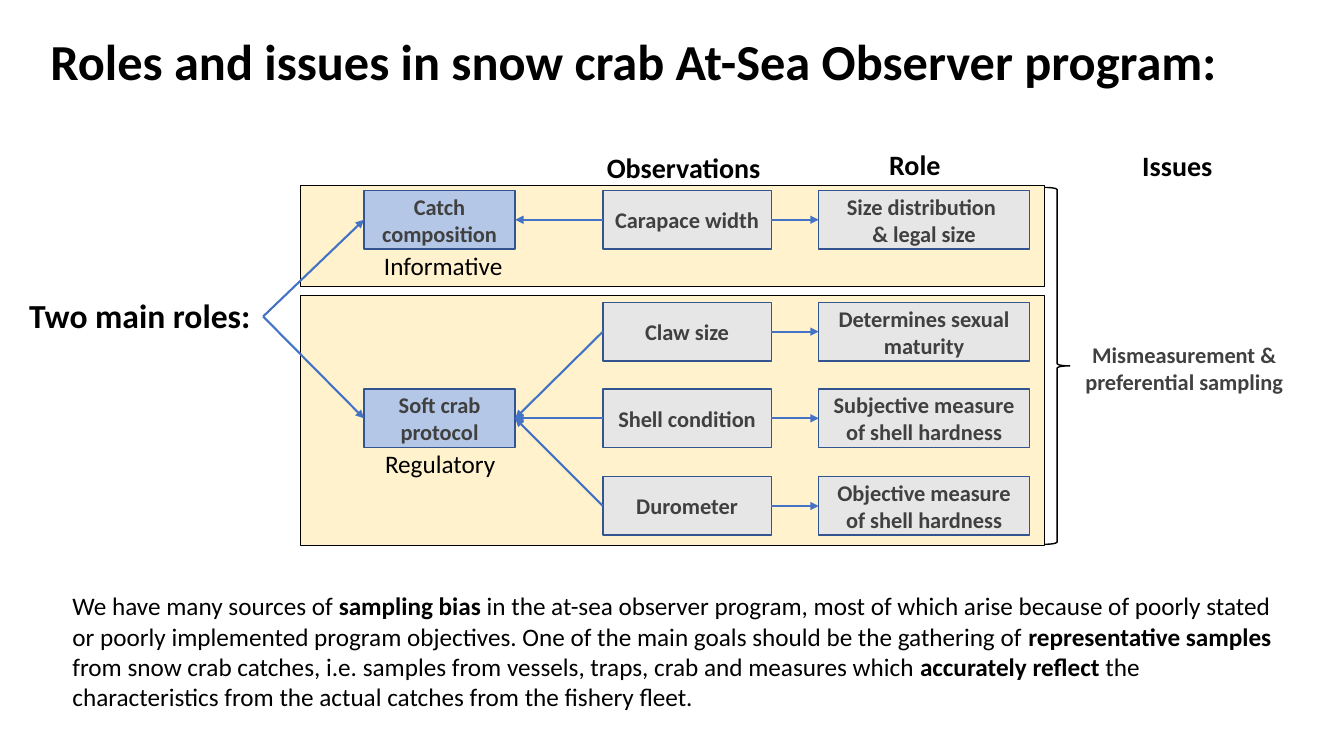
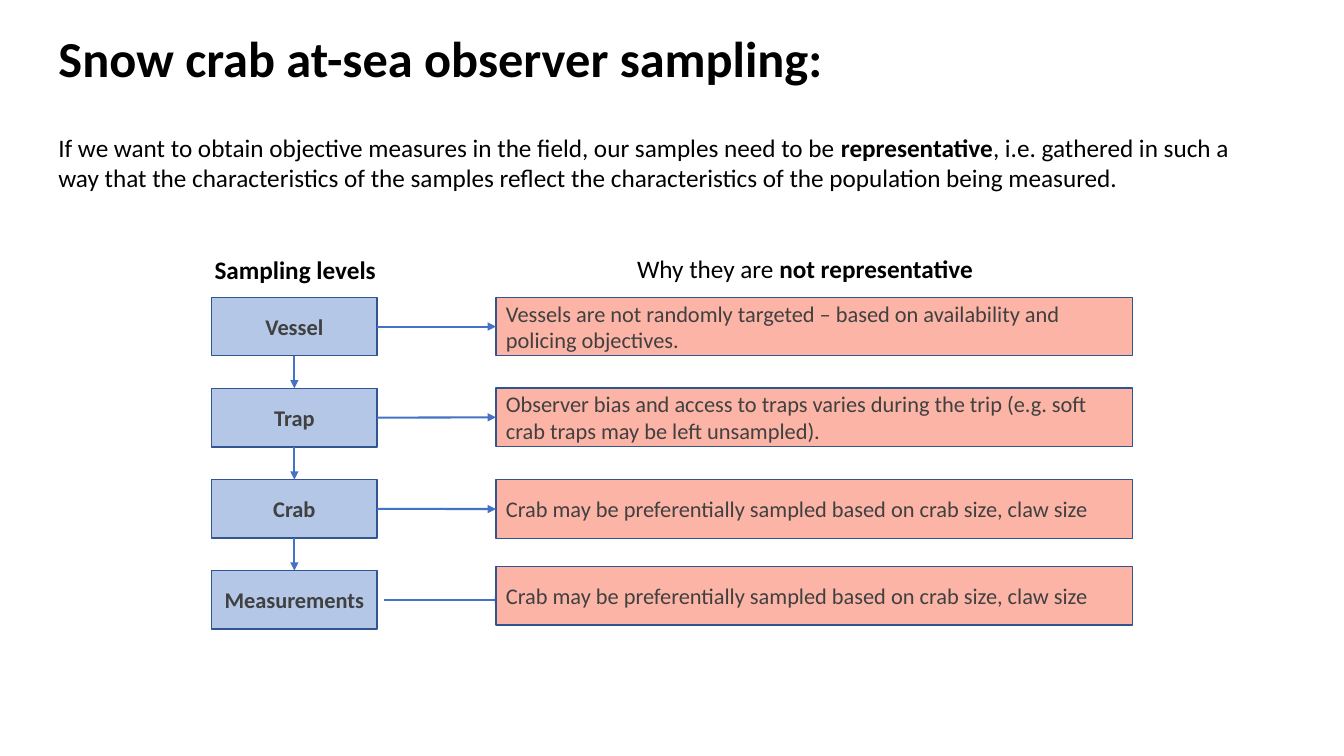
from dataclasses import dataclass
from itertools import pairwise

from lxml import etree
from pptx import Presentation
from pptx.dml.color import RGBColor
from pptx.enum.shapes import MSO_CONNECTOR, MSO_SHAPE
from pptx.enum.text import MSO_ANCHOR, MSO_AUTO_SIZE, PP_ALIGN
from pptx.oxml.ns import qn
from pptx.util import Inches, Pt

RECT = MSO_SHAPE.RECTANGLE
BRACE = MSO_SHAPE.RIGHT_BRACE
STRAIGHT = MSO_CONNECTOR.STRAIGHT
LEFT, CENTER = PP_ALIGN.LEFT, PP_ALIGN.CENTER
MIDDLE = MSO_ANCHOR.MIDDLE
FIT_SHAPE, NO_FIT = MSO_AUTO_SIZE.SHAPE_TO_FIT_TEXT, MSO_AUTO_SIZE.NONE
TITLE_ONLY = 5
SITE_TOP, SITE_LEFT, SITE_BOTTOM, SITE_RIGHT = range(4)


@dataclass(frozen=True)
class Theme:
    font: str = "Calibri"
    black: str = "000000"
    box_text: str = "404040"
    box_line: str = "325491"
    arrow: str = "4472C4"
    band: str = "FFF2CC"
    blue: str = "B4C7E7"
    grey: str = "E7E6E6"
    salmon: str = "FCB4A6"
    title_size: int = 36
    lead_size: int = 24
    heading_size: int = 20
    body_size: int = 18
    box_size: int = 16


THEME = Theme()
BOX_H = 0.58


def rgb(value):
    return RGBColor.from_string(value)


def write(tf, text, size, color, bold=False, align=LEFT):
    for i, line in enumerate(text.split("\n")):
        p = tf.add_paragraph() if i else tf.paragraphs[0]
        p.alignment = align
        p.font.name = THEME.font
        p.font.size = Pt(size)
        p.font.color.rgb = rgb(color)
        p.font.bold = bold
        for j, part in enumerate(line.split("**")):
            r = p.add_run()
            r.text = part
            if j % 2:
                r.font.bold = True


def add_title_slide(prs, text, x, y, w):
    s = prs.slides.add_slide(prs.slide_layouts[TITLE_ONLY])
    sp = s.shapes.title
    sp.left, sp.top, sp.width, sp.height = map(Inches, (x, y, w, 0.65))
    tf = sp.text_frame
    tf.word_wrap = True
    tf.auto_size = NO_FIT
    tf.vertical_anchor = MIDDLE
    write(tf, text, THEME.title_size, THEME.black, bold=True)
    tf.paragraphs[0].line_spacing = 0.9
    return s


def add_label(s, text, x, y, w, h, size=THEME.body_size, bold=False,
              color=THEME.black, align=LEFT, wrap=False):
    sp = s.shapes.add_textbox(*map(Inches, (x, y, w, h)))
    tf = sp.text_frame
    tf.word_wrap = wrap
    tf.auto_size = FIT_SHAPE
    write(tf, text, size, color, bold, align)


def add_outline(s, kind, x, y, w, h, fill, line, weight):
    sp = s.shapes.add_shape(kind, *map(Inches, (x, y, w, h)))
    sp.shadow.inherit = False
    if fill:
        sp.fill.solid()
        sp.fill.fore_color.rgb = rgb(fill)
    else:
        sp.fill.background()
    sp.line.color.rgb = rgb(line)
    sp.line.width = Pt(weight)
    return sp


def add_box(s, text, x, y, w, fill, bold=True, align=CENTER):
    sp = add_outline(s, RECT, x, y, w, BOX_H, fill, THEME.box_line, 1)
    tf = sp.text_frame
    tf.word_wrap = True
    tf.vertical_anchor = MIDDLE
    write(tf, text, THEME.box_size, THEME.box_text, bold, align)
    return sp


def add_arrow(s, x1, y1, x2, y2):
    cxn = s.shapes.add_connector(STRAIGHT, *map(Inches, (x1, y1, x2, y2)))
    cxn.line.color.rgb = rgb(THEME.arrow)
    cxn.line.width = Pt(1.5)
    etree.SubElement(cxn.line._get_or_add_ln(), qn("a:tailEnd"), type="triangle")
    etree.SubElement(cxn._element.spPr, qn("a:effectLst"))
    return cxn


def link(s, source, source_site, target, target_site):
    cxn = add_arrow(s, 0, 0, 1, 1)
    cxn.begin_connect(source, source_site)
    cxn.end_connect(target, target_site)


def build_roles(prs):
    s = add_title_slide(
        prs, "Roles and issues in snow crab At-Sea Observer program:", 0.4, 0.31, 12.1)
    for top, height in ((1.84, 1), (2.93, 2.48)):
        add_outline(s, RECT, 2.98, top, 7.38, height, THEME.band, THEME.black, 0.75)

    catch = add_box(s, "Catch composition", 3.61, 1.89, 1.5, THEME.blue)
    protocol = add_box(s, "Soft crab protocol", 3.61, 3.86, 1.5, THEME.blue)
    add_label(s, "Informative", 3.71, 2.43, 1.39, 0.4)
    add_label(s, "Regulatory", 3.72, 4.4, 1.31, 0.4)
    add_label(s, "Two main roles:", 0.19, 2.88, 2.42, 0.5, THEME.lead_size, bold=True)
    for target in (catch, protocol):
        cxn = add_arrow(s, 2.61, 3.14, 3.61, 3.14)
        cxn.end_connect(target, SITE_LEFT)

    rows = (
        (1.89, "Carapace width", "Size distribution \n& legal size", catch),
        (3, "Claw size", "Determines sexual maturity", protocol),
        (3.86, "Shell condition", "Subjective measure of shell hardness", protocol),
        (4.73, "Durometer", "Objective measure of shell hardness", protocol),
    )
    for top, observation, role, main_role in rows:
        observed = add_box(s, observation, 5.98, top, 1.67, THEME.grey)
        purpose = add_box(s, role, 8.12, top, 2.09, THEME.grey)
        link(s, observed, SITE_LEFT, main_role, SITE_RIGHT)
        link(s, observed, SITE_RIGHT, purpose, SITE_LEFT)

    for text, x, y, w in (
        ("Observations", 5.92, 1.44, 1.74),
        ("Role", 8.72, 1.41, 0.72),
        ("Issues", 11.23, 1.42, 0.91),
    ):
        add_label(s, text, x, y, w, 0.44, THEME.heading_size, bold=True)

    add_outline(s, BRACE, 10.36, 1.86, 0.25, 3.54, None, THEME.black, 1)
    add_label(s, "Mismeasurement & preferential sampling", 10.52, 3.34, 2.45, 0.64,
              THEME.box_size, True, THEME.box_text, CENTER, wrap=True)
    add_label(
        s,
        "We have many sources of **sampling bias **in the at-sea observer program, "
        "most of which arise because of poorly stated or poorly implemented program "
        "objectives. One of the main goals should be the gathering of "
        "**representative samples **from snow crab catches, i.e. samples from vessels, "
        "traps, crab and measures which **accurately reflect **the characteristics "
        "from the actual catches from the fishery fleet.",
        0.62, 5.81, 12.1, 1.31, wrap=True)


def build_sampling(prs):
    s = add_title_slide(prs, "Snow crab at-sea observer sampling:", 0.48, 0.28, 11.5)
    add_label(
        s,
        "If we want to obtain objective measures in the field, our samples need to be "
        "**representative**, i.e. gathered in such a way that the characteristics of "
        "the samples reflect the characteristics of the population being measured.",
        0.48, 1.26, 12.1, 0.71, wrap=True)
    add_label(s, "Sampling levels", 2.03, 2.47, 1.81, 0.4, bold=True)
    add_label(s, "Why they are **not representative**", 6.22, 2.46, 3.56, 0.4)

    first_top, pitch = 2.95, 0.904
    levels = [
        add_box(s, name, 2.1, first_top + i * pitch, 1.64, THEME.blue)
        for i, name in enumerate(("Vessel", "Trap", "Crab", "Measurements"))
    ]
    for upper, lower in pairwise(levels):
        link(s, upper, SITE_BOTTOM, lower, SITE_TOP)

    add_arrow(s, 3.81, 5.95, 4.99, 5.95)
    preference = "Crab may be preferentially sampled based on crab size, claw size "
    reasons = (
        (2.95, "Vessels are not randomly targeted – based on availability and "
               "policing objectives. "),
        (3.85, "Observer bias and access to traps varies during the trip "
               "(e.g. soft crab traps may be left unsampled)."),
        (4.76, preference),
        (5.62, preference),
    )
    boxes = [
        add_box(s, text, 4.92, top, 6.31, THEME.salmon, bold=False, align=LEFT)
        for top, text in reasons
    ]
    for level, reason in zip(levels[:3], boxes):
        link(s, level, SITE_RIGHT, reason, SITE_LEFT)


def main():
    prs = Presentation()
    prs.slide_width = Inches(13.33)
    prs.slide_height = Inches(7.5)
    build_roles(prs)
    build_sampling(prs)
    prs.save("out.pptx")


main()
